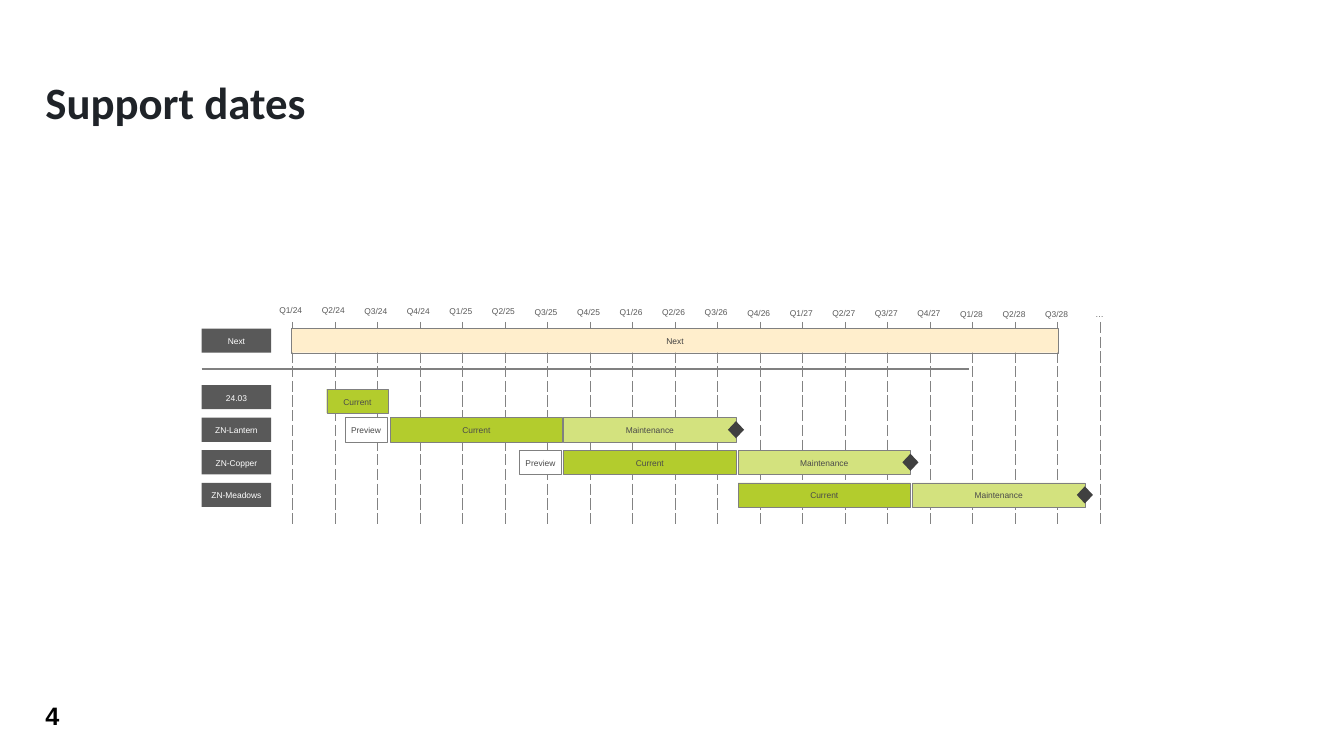
from pptx import Presentation
from pptx.dml.color import RGBColor
from pptx.enum.shapes import MSO_CONNECTOR, MSO_SHAPE
from pptx.enum.text import MSO_ANCHOR, MSO_AUTO_SIZE, PP_ALIGN
from pptx.oxml import parse_xml
from pptx.oxml.ns import nsdecls
from pptx.util import Inches, Pt
from dataclasses import dataclass

# Content
TITLE = "Support dates"
PAGE = "4"
QUARTERS = [f"Q{q}/{year}" for year in range(24, 29) for q in range(1, 5)][:19] + ["…"]
NEXT = "Next"
# Version: (bars as (phase, left, width), drop below the row, support ends)
VERSIONS = {
    "24.03": ([("Current", 3.24, 0.61)], 0.04, False),
    "ZN-Lantern": ([("Preview", 3.42, 0.42), ("Current", 3.87, 1.71),
                    ("Maintenance", 5.59, 1.71)], 0, True),
    "ZN-Copper": ([("Preview", 5.15, 0.42), ("Current", 5.59, 1.71),
                   ("Maintenance", 7.32, 1.71)], 0, True),
    "ZN-Meadows": ([("Current", 7.32, 1.71), ("Maintenance", 9.05, 1.71)], 0, True),
}


@dataclass(frozen=True)
class Theme:
    title_font: str = "Calibri"
    font: str = "Arial"
    title_size: int = 32
    page_size: int = 18
    chart_size: int = 6
    title: str = "1F2328"
    page: str = "000000"
    white: str = "FFFFFF"
    label: str = "595959"
    next_text: str = "404040"
    bar_text: str = "4A4A4A"
    outline: str = "808080"
    grid: str = "838383"
    milestone: str = "404040"
    next_fill: str = "FFEECC"


THEME = Theme()
PHASE_FILL = {"Preview": "FFFFFF", "Current": "B3CC2D", "Maintenance": "D3E27E"}

# Layout, in inches
LEFT, GRID_TOP, GRID_WIDTH, GRID_HEIGHT = 2, 3.2, 9.34, 2
NAME_COLUMN = 0.9
QUARTER = (GRID_WIDTH - NAME_COLUMN) / len(QUARTERS)
QUARTER_LEFT, QUARTER_TOP, QUARTER_TEXT, QUARTER_DROP = 2.77, 3.02, 0.23, 0.04
LABEL_WIDTH, BAR_HEIGHT = 0.69, 0.24
NEXT_TOP, VERSIONS_TOP, LAST_TOP = 3.26, 3.82, 4.79
ROW_STEP = (LAST_TOP - VERSIONS_TOP) / (len(VERSIONS) - 1)
DIAMOND_WIDTH, DIAMOND_HEIGHT = 0.16, 0.17


def box(*lengths):
    return [Inches(length) for length in lengths]


def write(shape, text, color, size=THEME.chart_size, font=THEME.font, bold=False,
          frame_format=None, paragraph_format=None):
    frame = shape.text_frame
    frame.text = text
    frame_values = {"margin_left": 0, "margin_right": 0, "margin_top": 0,
                    "margin_bottom": 0, "word_wrap": True, **(frame_format or {})}
    for name, value in frame_values.items():
        setattr(frame, name, value)
    paragraph = frame.paragraphs[0]
    for name, value in (paragraph_format or {}).items():
        setattr(paragraph, name, value)
    for name, value in {"name": font, "size": Pt(size), "bold": bold}.items():
        setattr(paragraph.font, name, value)
    paragraph.font.color.rgb = RGBColor.from_string(color)


def add_block(shapes, kind, place, fill, outline=None):
    block = shapes.add_shape(kind, *box(*place))
    block.shadow.inherit = False
    block.fill.solid()
    block.fill.fore_color.rgb = RGBColor.from_string(fill)
    if outline:
        block.line.color.rgb = RGBColor.from_string(outline)
        block.line.width = Pt(0.25)
    else:
        block.line.fill.background()
    return block


def add_bar(shapes, text, place, fill, color, outline=None):
    bar = add_block(shapes, MSO_SHAPE.RECTANGLE, place, fill, outline)
    write(bar, text, color, frame_format={"vertical_anchor": MSO_ANCHOR.MIDDLE},
          paragraph_format={"alignment": PP_ALIGN.CENTER, "line_spacing": 1.1,
                            "space_before": Pt(6), "space_after": Pt(6)})


def dash_border(cell, sides):
    properties = cell._tc.get_or_add_tcPr()
    for position, side in enumerate(sides):
        properties.insert(position, parse_xml(
            f'<a:ln{side} {nsdecls("a")} w="{Pt(0.5)}"><a:solidFill>'
            f'<a:srgbClr val="{THEME.grid}"/></a:solidFill>'
            f'<a:prstDash val="dash"/></a:ln{side}>'))


def add_heading(slide):
    title = slide.shapes.title
    title.left, title.top, title.width, title.height = box(0.45, 0.8, 10.95, 0.47)
    write(title, TITLE, THEME.title, THEME.title_size, THEME.title_font, True,
          {"vertical_anchor": MSO_ANCHOR.TOP, "auto_size": MSO_AUTO_SIZE.NONE},
          {"alignment": PP_ALIGN.LEFT, "line_spacing": 0.9})
    page = slide.shapes.add_textbox(*box(0.45, 6.94, 0.43, 0.31))
    write(page, PAGE, THEME.page, THEME.page_size, bold=True,
          frame_format={"vertical_anchor": MSO_ANCHOR.MIDDLE})


def add_grid(shapes):
    count = len(QUARTERS) + 1
    grid = shapes.add_table(
        1, count, *box(LEFT, GRID_TOP, GRID_WIDTH, GRID_HEIGHT)).table
    grid.first_row = grid.horz_banding = False
    for index, column in enumerate(grid.columns):
        column.width = Inches(QUARTER if index else NAME_COLUMN)
        cell = grid.cell(0, index)
        cell.fill.background()
        dash_border(cell, "R" if index == 0 else "L" if index == count - 1 else "LR")


def add_quarters(shapes):
    drop = QUARTER_DROP / (len(QUARTERS) - 1)
    for index, quarter in enumerate(QUARTERS):
        width = QUARTER_TEXT if len(quarter) > 1 else 0.08
        left = QUARTER_LEFT + QUARTER * index + (QUARTER_TEXT - width) / 2
        label = shapes.add_textbox(*box(left, QUARTER_TOP + drop * index, width, 0.1))
        write(label, quarter, THEME.label,
              frame_format={"word_wrap": False,
                            "auto_size": MSO_AUTO_SIZE.SHAPE_TO_FIT_TEXT},
              paragraph_format={"line_spacing": 1.1, "space_before": Pt(3),
                                "space_after": Pt(3)})


def add_next(shapes):
    add_bar(shapes, NEXT, (LEFT, NEXT_TOP, LABEL_WIDTH, BAR_HEIGHT),
            THEME.label, THEME.white)
    divider = shapes.add_connector(MSO_CONNECTOR.STRAIGHT, *box(LEFT, 3.66, 9.61, 3.66))
    divider.line.color.rgb = RGBColor.from_string(THEME.outline)
    divider.line.width = Pt(1)
    divider._element.spPr.append(parse_xml(f'<a:effectLst {nsdecls("a")}/>'))
    add_bar(shapes, NEXT, (2.89, NEXT_TOP, 7.61, BAR_HEIGHT),
            THEME.next_fill, THEME.next_text, THEME.outline)


def add_versions(shapes):
    names = shapes.add_group_shape().shapes
    for row, (version, (bars, drop, ends)) in enumerate(VERSIONS.items()):
        top = VERSIONS_TOP + ROW_STEP * row
        add_bar(names, version, (LEFT, top, LABEL_WIDTH, BAR_HEIGHT),
                THEME.label, THEME.white)
        for phase, left, width in bars:
            add_bar(shapes, phase, (left, top + drop, width, BAR_HEIGHT),
                    PHASE_FILL[phase], THEME.bar_text, THEME.outline)
        if ends:
            # The milestone sits on the end of the last bar
            _, left, width = bars[-1]
            place = (left + width - DIAMOND_WIDTH / 2,
                     top + (BAR_HEIGHT - DIAMOND_HEIGHT) / 2,
                     DIAMOND_WIDTH, DIAMOND_HEIGHT)
            add_block(shapes, MSO_SHAPE.DIAMOND, place, THEME.milestone)


def main():
    deck = Presentation()
    deck.slide_width, deck.slide_height = box(13.33, 7.5)
    slide = deck.slides.add_slide(deck.slide_layouts[5])
    add_heading(slide)
    for add_part in (add_grid, add_next, add_quarters, add_versions):
        add_part(slide.shapes)
    deck.save("out.pptx")


if __name__ == "__main__":
    main()
